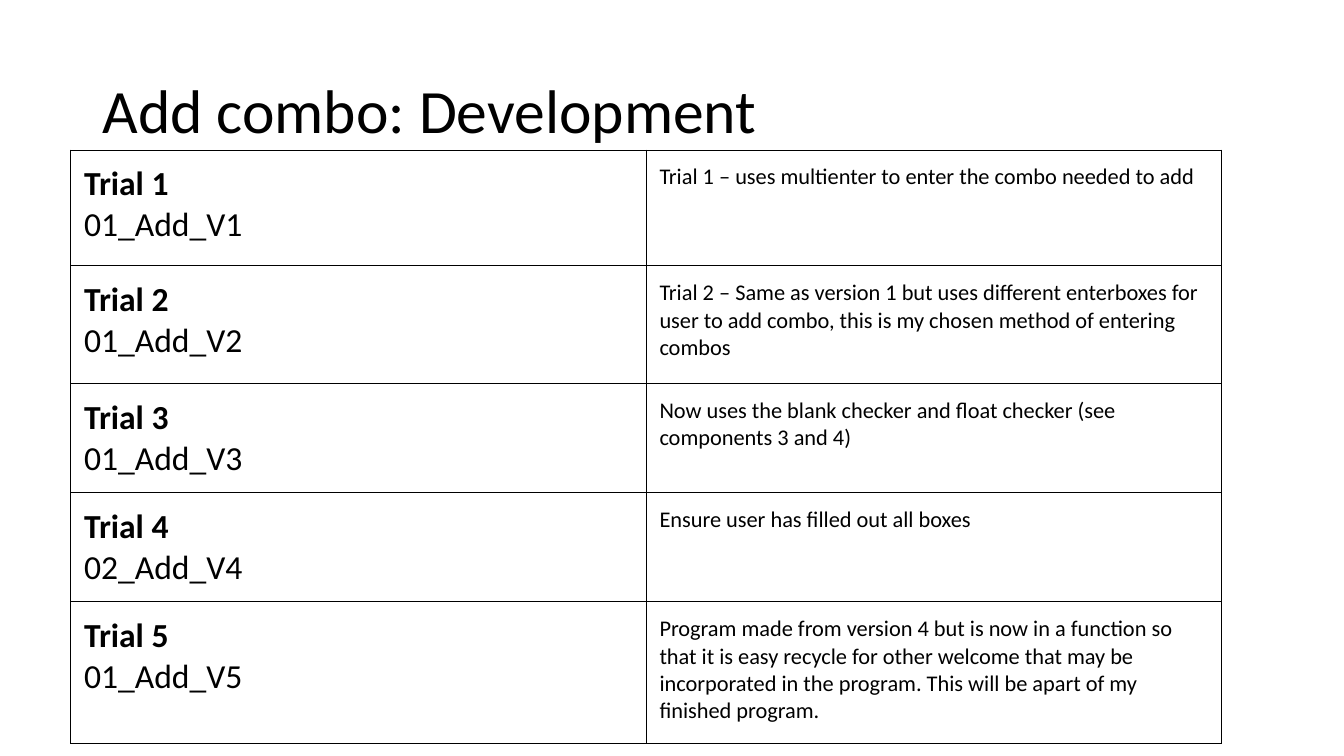
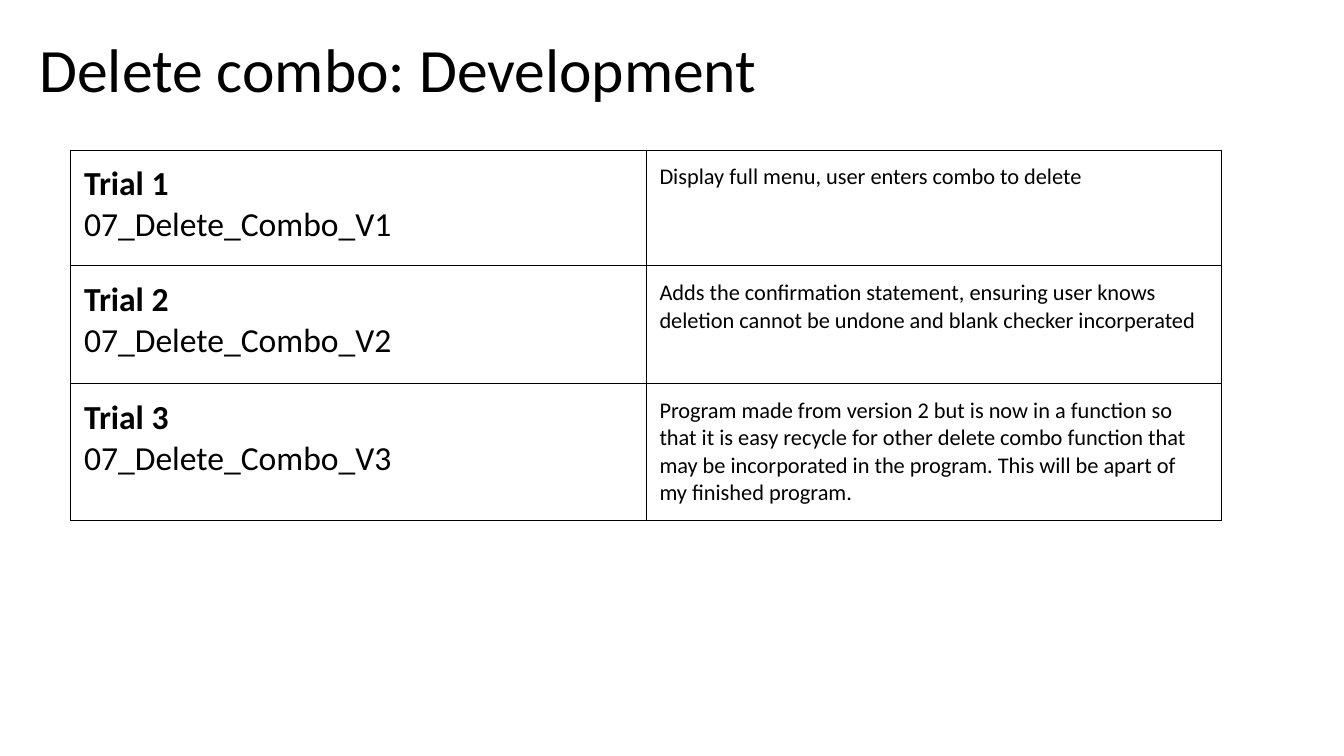
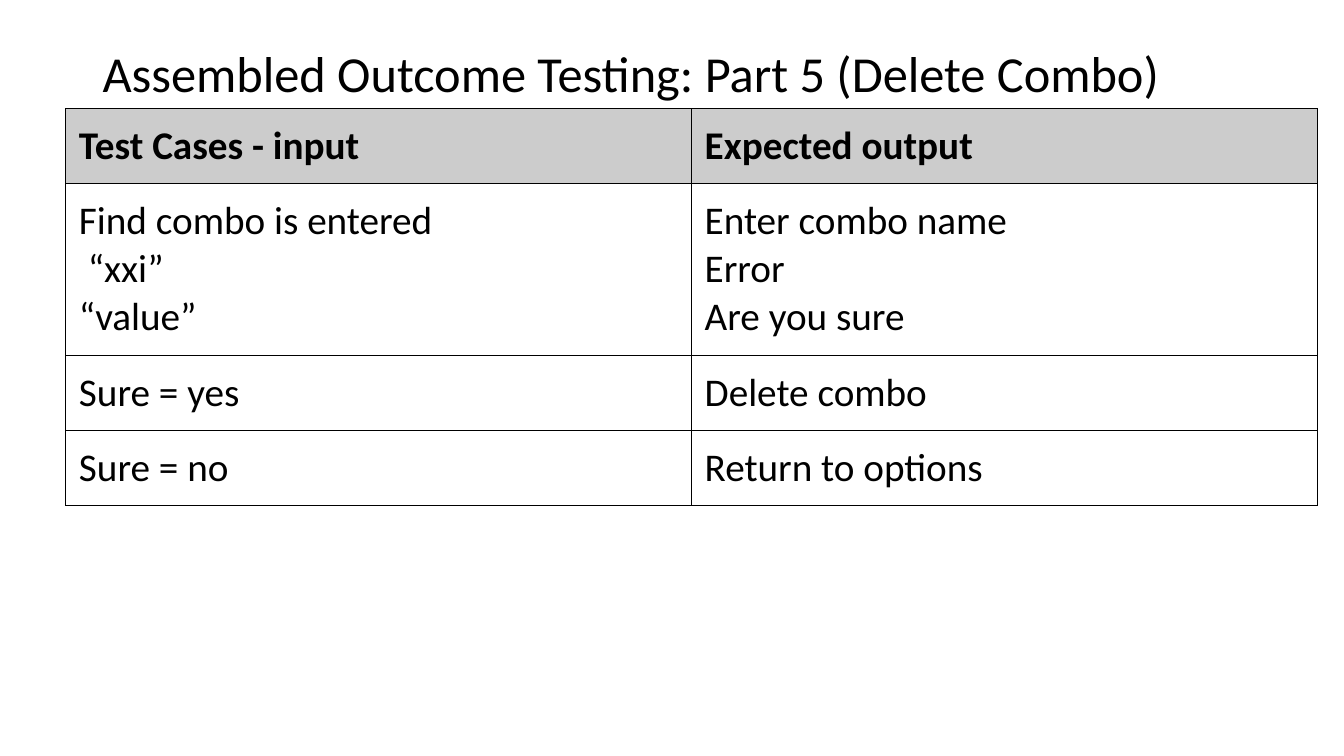
from dataclasses import dataclass

from lxml import etree
from pptx import Presentation
from pptx.dml.color import RGBColor
from pptx.enum.text import MSO_ANCHOR, MSO_AUTO_SIZE, PP_ALIGN
from pptx.oxml.ns import qn
from pptx.util import Cm, Pt

LEFT = PP_ALIGN.LEFT
MIDDLE = MSO_ANCHOR.MIDDLE
TOP = MSO_ANCHOR.TOP
NO_AUTOFIT = MSO_AUTO_SIZE.NONE
TITLE_ONLY = 5

FONT = "Calibri"
BLACK = "000000"
HEADER_GREY = "CCCCCC"
CELL_MARGIN = Cm(0.34)
BORDER_WIDTH = Pt(0.75)
TITLE_WIDTH = 29.21


@dataclass
class Title:
    text: str
    left: float
    top: float
    height: float = 3.68
    size: int = 44


@dataclass
class Cell:
    text: str
    size: int
    bold_lines: int = 0
    fill: str = ""


@dataclass
class Grid:
    """A table; lengths are in centimetres."""
    left: float
    top: float
    col_width: float
    row_heights: list[float]
    rows: list[list[Cell]]


def color(hex_code: str) -> RGBColor:
    return RGBColor.from_string(hex_code)


def style_font(font, size: int, bold: bool = False) -> None:
    font.name = FONT
    font.size = Pt(size)
    font.bold = bold
    font.color.rgb = color(BLACK)


def add_title(s, title: Title) -> None:
    sp = s.shapes.title
    sp.left, sp.top = Cm(title.left), Cm(title.top)
    sp.width, sp.height = Cm(TITLE_WIDTH), Cm(title.height)
    tf = sp.text_frame
    tf.text = title.text
    tf.word_wrap = True
    tf.auto_size = NO_AUTOFIT
    tf.vertical_anchor = MIDDLE
    p = tf.paragraphs[0]
    p.alignment = LEFT
    p.line_spacing = 0.9
    style_font(p.runs[0].font, title.size)


def add_borders(cell) -> None:
    tc_pr = cell._tc.get_or_add_tcPr()
    for i, side in enumerate(("a:lnL", "a:lnR", "a:lnT", "a:lnB")):
        ln = etree.Element(qn(side), w=str(BORDER_WIDTH))
        fill = etree.SubElement(ln, qn("a:solidFill"))
        etree.SubElement(fill, qn("a:srgbClr"), val=BLACK)
        tc_pr.insert(i, ln)


def fill_cell(cell, content: Cell) -> None:
    cell.margin_left = cell.margin_right = CELL_MARGIN
    cell.margin_top = cell.margin_bottom = CELL_MARGIN
    cell.vertical_anchor = TOP
    if content.fill:
        cell.fill.solid()
        cell.fill.fore_color.rgb = color(content.fill)
    else:
        cell.fill.background()
    add_borders(cell)
    cell.text_frame.text = content.text
    for i, p in enumerate(cell.text_frame.paragraphs):
        for r in p.runs:
            style_font(r.font, content.size, i < content.bold_lines)


def add_grid(s, grid: Grid) -> None:
    n_cols = len(grid.rows[0])
    table = s.shapes.add_table(
        len(grid.rows), n_cols, Cm(grid.left), Cm(grid.top),
        Cm(grid.col_width * n_cols), Cm(sum(grid.row_heights))).table
    table.first_row = False
    table.horz_banding = False
    for col in table.columns:
        col.width = Cm(grid.col_width)
    for row, height, contents in zip(table.rows, grid.row_heights, grid.rows):
        row.height = Cm(height)
        for cell, content in zip(row.cells, contents):
            fill_cell(cell, content)


def trial_grid(row_heights: list[float], trials: list[tuple[str, str]]) -> Grid:
    """Numbered trials: version name on the left, remarks on the right."""
    rows = [[Cell(f"Trial {i}\n{version}", 24, bold_lines=1), Cell(remarks, 16)]
            for i, (version, remarks) in enumerate(trials, start=1)]
    return Grid(1.78, 3.78, 14.5, row_heights, rows)


def testing_grid(row_heights: list[float], header: tuple[str, str],
                 cases: list[tuple[str, str]]) -> Grid:
    rows = [[Cell(text, 28, bold_lines=1, fill=HEADER_GREY) for text in header]]
    rows += [[Cell(text, 28) for text in case] for case in cases]
    return Grid(1.65, 2.74, 15.77, row_heights, rows)


SLIDES = [
    (Title("Add combo: Development", 2.33, 1.01),
     trial_grid([2.92, 2.97, 2.74, 2.74, 3.56], [
         ("01_Add_V1", "Trial 1 – uses multienter to enter the combo needed to add"),
         ("01_Add_V2", "Trial 2 – Same as version 1 but uses different enterboxes for "
                       "user to add combo, this is my chosen method of entering combos"),
         ("01_Add_V3", "Now uses the blank checker and float checker "
                       "(see components 3 and 4)"),
         ("02_Add_V4", "Ensure user has filled out all boxes"),
         ("01_Add_V5", "Program made from version 4 but is now in a function so that "
                       "it is easy recycle for other welcome that may be incorporated "
                       "in the program. This will be apart of my finished program."),
     ])),
    (Title("Delete combo: Development", 0.74, 0),
     trial_grid([2.92, 2.97, 3.43], [
         ("07_Delete_Combo_V1", "Display full menu, user enters combo to delete"),
         ("07_Delete_Combo_V2", "Adds the confirmation statement, ensuring user knows "
                                "deletion cannot be undone and blank checker "
                                "incorperated"),
         ("07_Delete_Combo_V3", "Program made from version 2 but is now in a function so "
                                "that it is easy recycle for other delete combo function "
                                "that may be incorporated in the program. This will be "
                                "apart of my finished program."),
     ])),
    (Title("Assembled Outcome Testing: Part 5 (Delete Combo)", 2.33, 1.11, 1.62, 36),
     testing_grid([1.88, 4.33, 1.88, 1.88], ("Test Cases - input", "Expected output"), [
         ("Find combo is entered\n “xxi”\n“value”",
          "Enter combo name\nError\nAre you sure"),
         ("Sure = yes", "Delete combo"),
         ("Sure = no", "Return to options"),
     ])),
]


def main() -> None:
    prs = Presentation()
    prs.slide_width, prs.slide_height = Cm(33.87), Cm(19.05)
    for title, grid in SLIDES:
        s = prs.slides.add_slide(prs.slide_layouts[TITLE_ONLY])
        add_title(s, title)
        add_grid(s, grid)
    prs.save("out.pptx")


if __name__ == "__main__":
    main()
